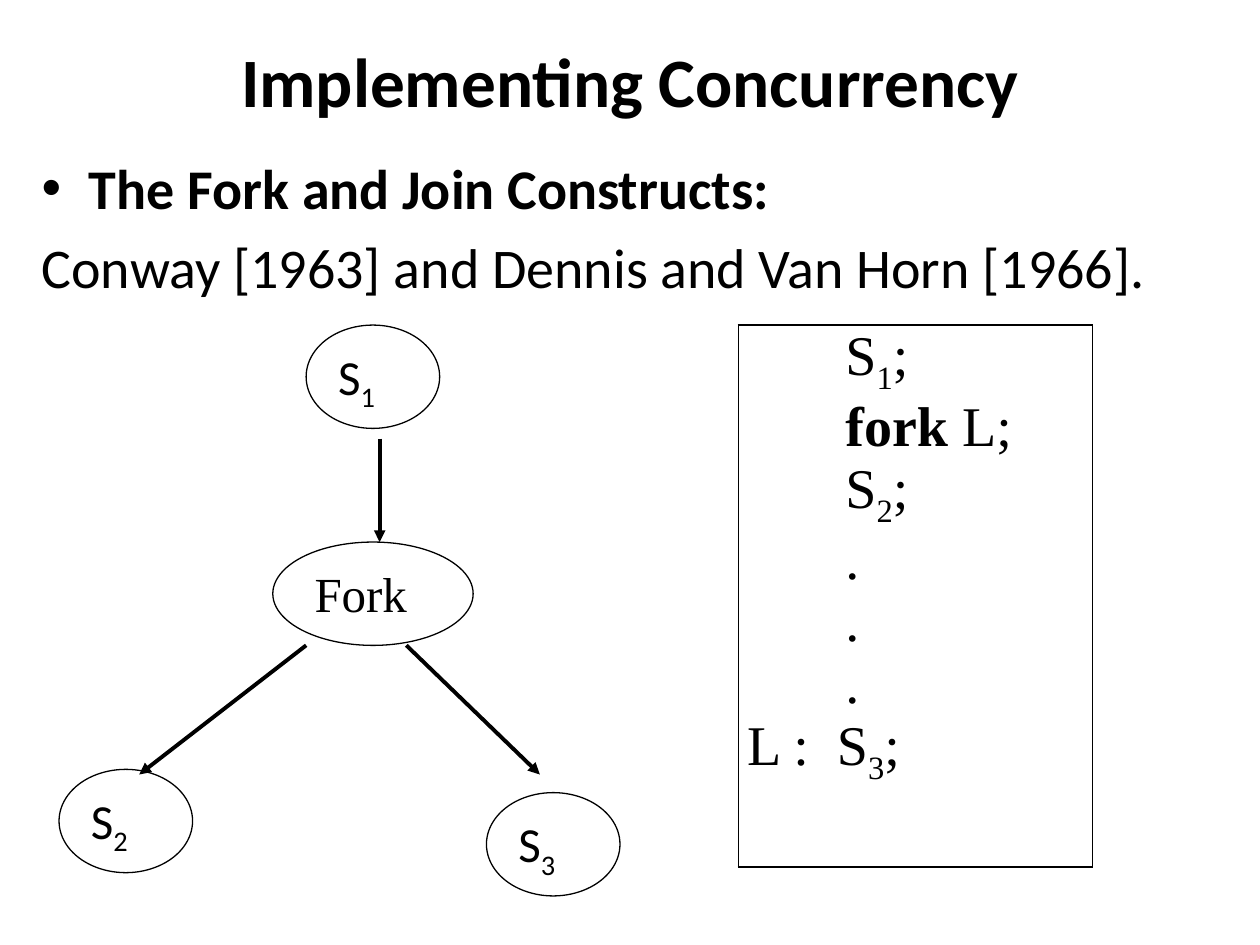
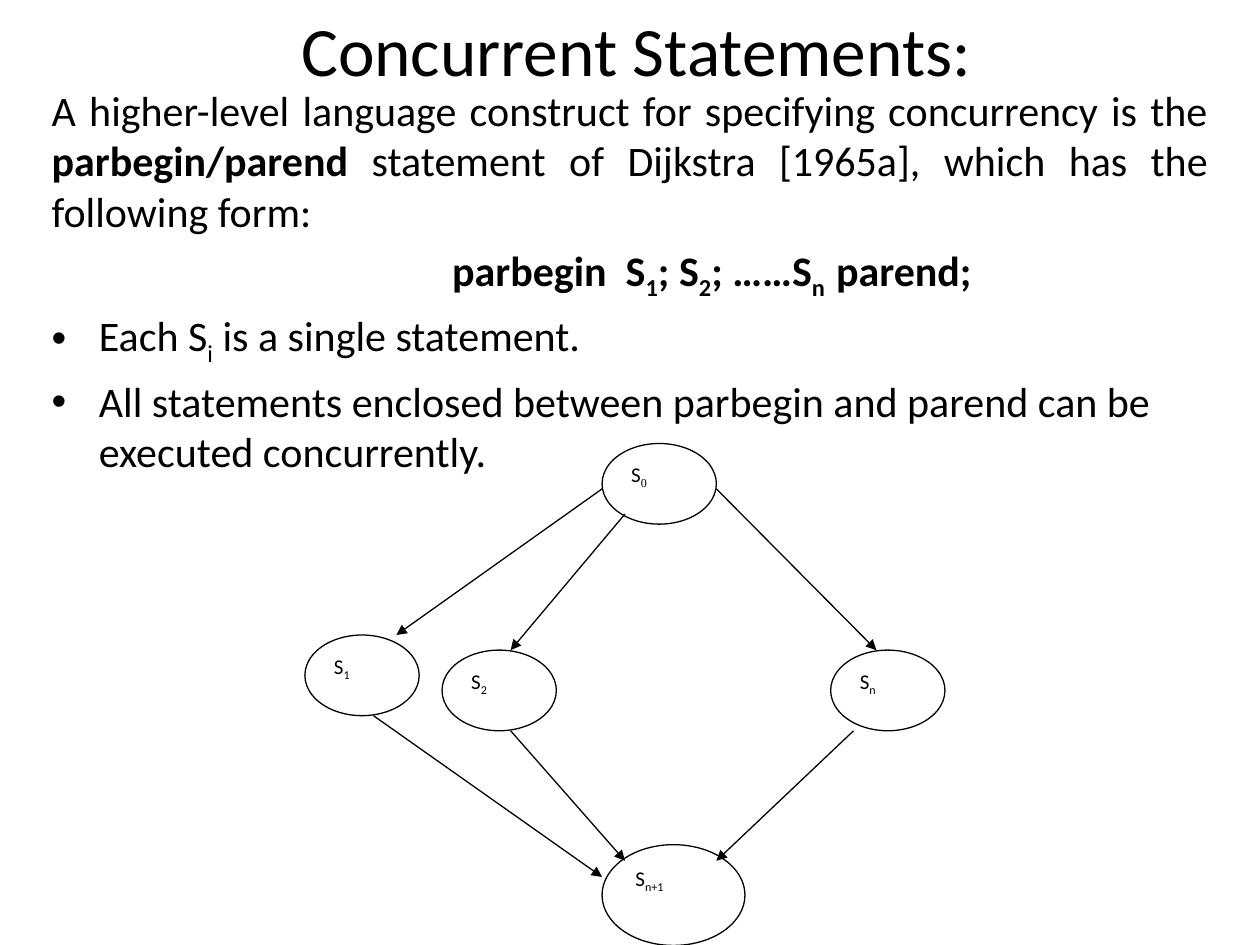
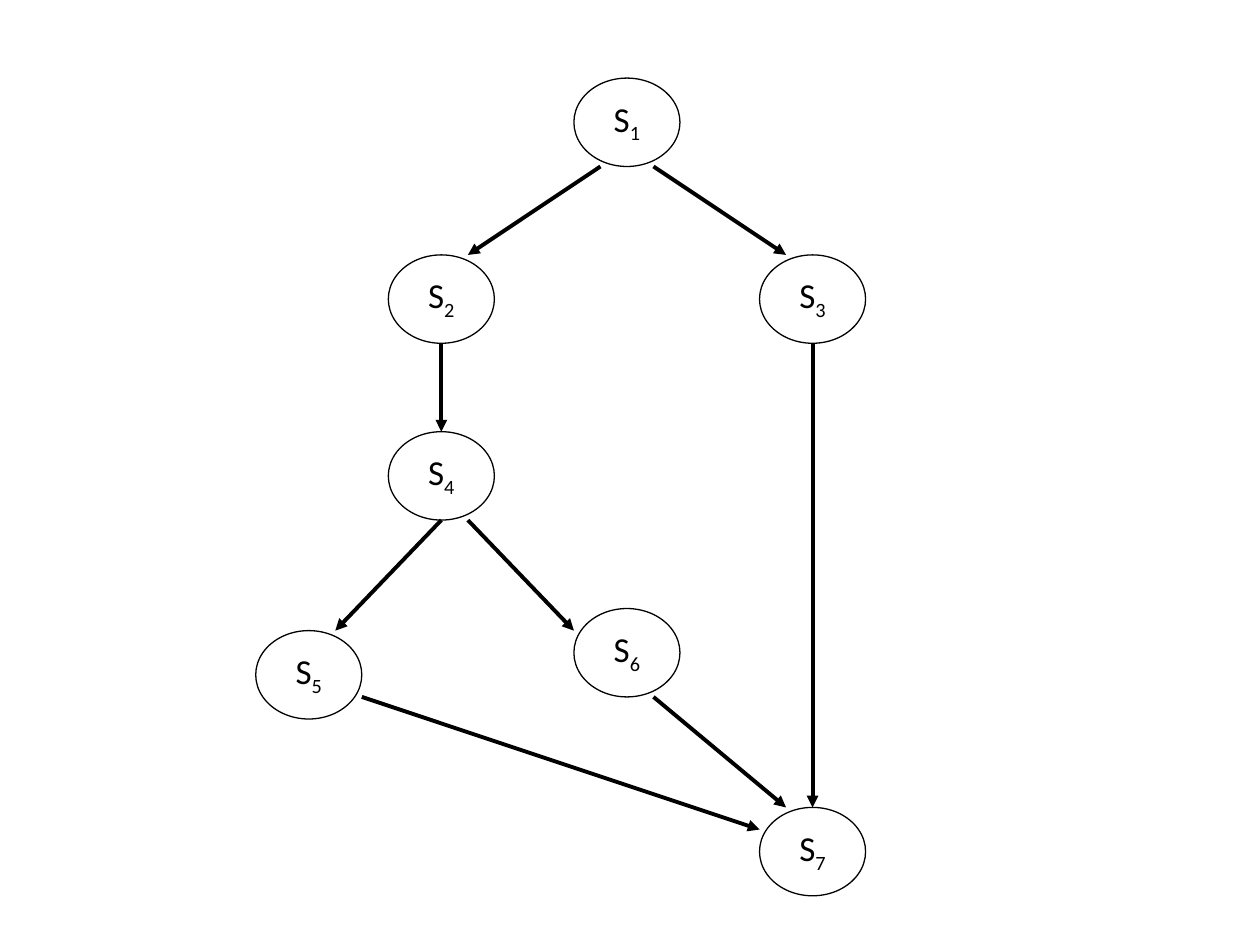
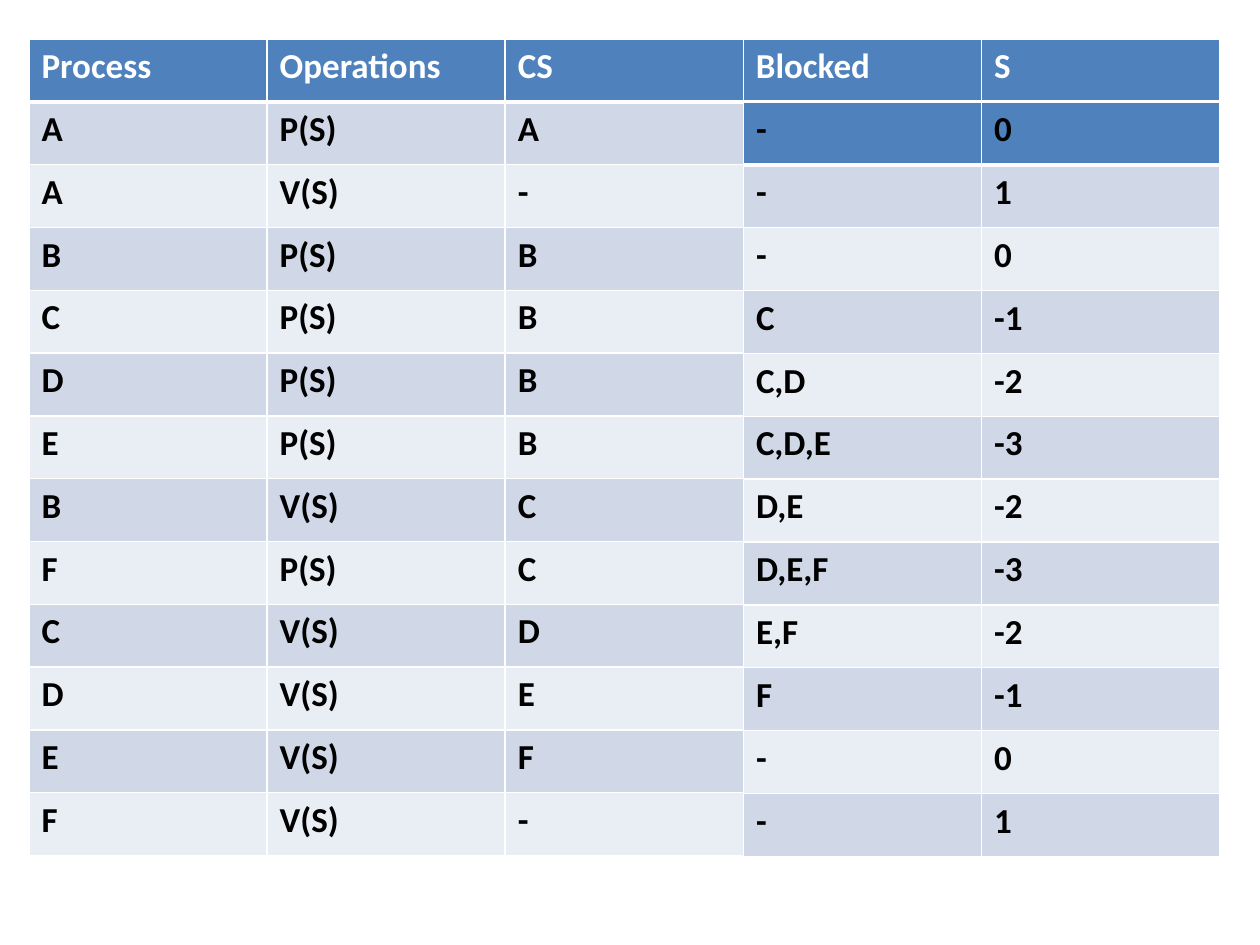
from dataclasses import dataclass
from typing import Optional

import pptx
import pptx.dml.color
import pptx.enum.shapes
import pptx.enum.text
import pptx.oxml.ns
import pptx.util
from lxml import etree

ALIGN = pptx.enum.text.PP_ALIGN
ANCHOR = pptx.enum.text.MSO_ANCHOR
qn = pptx.oxml.ns.qn


# ---- Theme ----
@dataclass(frozen=True)
class Theme:
    ink: str = "000000"
    paper: str = "FFFFFF"
    header: str = "4F81BD"
    bands: tuple = ("D0D8E8", "E9EDF4")
    font: str = "Calibri"
    serif: str = "Times New Roman"
    title: float = 39.6
    large: float = 32
    body: float = 24
    table: float = 20
    thin: float = 0.75
    rule: float = 1
    heavy: float = 2.25
    header_rule: float = 3


THEME = Theme()


# ---- Grids: the page has 100 columns and 75 rows, diagrams subdivide a part of it ----
@dataclass(frozen=True)
class Grid:
    left: float
    top: float
    width: float
    height: float
    columns: int
    rows: int

    def point(self, column: float, row: float) -> tuple:
        return (pptx.util.Inches((self.left + column * self.width / self.columns) / 10),
                pptx.util.Inches((self.top + row * self.height / self.rows) / 10))

    def box(self, column: float, row: float, across: float, down: float) -> tuple:
        left, top = self.point(column, row)
        right, bottom = self.point(column + across, row + down)
        return left, top, right - left, bottom - top


PAGE = Grid(0, 0, 100, 75, 100, 75)


@dataclass(frozen=True)
class Node:
    label: str
    column: float
    row: float
    across: float
    down: float
    align: Optional[ALIGN] = None
    font: str = THEME.font
    sub_font: Optional[str] = None


@dataclass(frozen=True)
class Arrow:
    start: tuple
    end: tuple


@dataclass(frozen=True)
class Paragraph:
    text: str
    bullet: bool = False
    align: Optional[ALIGN] = None
    indent: float = 0


# ---- Text: *bold* and ~subscript~ marks ----
def rgb(color: str) -> pptx.dml.color.RGBColor:
    return pptx.dml.color.RGBColor.from_string(color)


def write(paragraph, text: str, *, size: float, font: str = THEME.font,
          sub_font: Optional[str] = None, color: str = THEME.ink, bold: bool = False,
          align: Optional[ALIGN] = None, after: Optional[float] = None) -> None:
    if align is not None:
        paragraph.alignment = align
    if after is not None:
        paragraph.space_after = pptx.util.Pt(after)
    for i, stretch in enumerate(text.split("*")):
        for j, piece in enumerate(stretch.split("~")):
            if not piece:
                continue
            run = paragraph.add_run()
            run.text = piece
            run.font.size = pptx.util.Pt(size)
            run.font.name = sub_font if j % 2 and sub_font else font
            run.font.bold = bold or i % 2 == 1
            run.font.color.rgb = rgb(color)
            if j % 2:
                run.font._element.set("baseline", "-25000")


def set_indent(paragraph, inches: float) -> None:
    properties = paragraph._p.get_or_add_pPr()
    properties.set("marL", str(pptx.util.Inches(inches)))
    properties.set("indent", "0")


def next_paragraph(frame, index: int):
    return frame.paragraphs[0] if index == 0 else frame.add_paragraph()


# ---- Placeholders ----
def place(holder, box: tuple, anchor: ANCHOR):
    holder.left, holder.top, holder.width, holder.height = PAGE.box(*box)
    frame = holder.text_frame
    frame.word_wrap = True
    frame.auto_size = pptx.enum.text.MSO_AUTO_SIZE.NONE
    frame.vertical_anchor = anchor
    return frame


def add_title(slide, text: str, box: tuple, anchor: ANCHOR = ANCHOR.MIDDLE) -> None:
    frame = place(slide.shapes.title, box, anchor)
    frame.margin_top = frame.margin_bottom = 0
    write(frame.paragraphs[0], text, size=THEME.title, align=ALIGN.CENTER)


def add_body(slide, paragraphs: list, box: tuple, size: float) -> None:
    frame = place(slide.placeholders[1], box, ANCHOR.TOP)
    for index, item in enumerate(paragraphs):
        paragraph = next_paragraph(frame, index)
        write(paragraph, item.text, size=size, align=item.align)
        if not item.bullet:
            set_indent(paragraph, item.indent)
            etree.SubElement(paragraph._p.get_or_add_pPr(), qn("a:buNone"))


# ---- Diagrams ----
def add_node(slide, grid: Grid, node: Node, size: float) -> None:
    ellipse = slide.shapes.add_shape(pptx.enum.shapes.MSO_SHAPE.OVAL,
                                     *grid.box(node.column, node.row, node.across, node.down))
    ellipse.shadow.inherit = False
    ellipse.fill.solid()
    ellipse.fill.fore_color.rgb = rgb(THEME.paper)
    ellipse.line.color.rgb = rgb(THEME.ink)
    ellipse.line.width = pptx.util.Pt(THEME.thin)
    frame = ellipse.text_frame
    frame.word_wrap = True
    frame.vertical_anchor = ANCHOR.TOP
    write(frame.paragraphs[0], node.label, size=size, font=node.font,
          sub_font=node.sub_font, align=node.align or ALIGN.LEFT, after=10)


def add_arrow(slide, grid: Grid, arrow: Arrow, weight: float) -> None:
    link = slide.shapes.add_connector(pptx.enum.shapes.MSO_CONNECTOR.STRAIGHT,
                                      *grid.point(*arrow.start), *grid.point(*arrow.end))
    link.line.color.rgb = rgb(THEME.ink)
    link.line.width = pptx.util.Pt(weight)
    etree.SubElement(link.line._get_or_add_ln(), qn("a:tailEnd"), type="triangle")
    etree.SubElement(link._element.spPr, qn("a:effectLst"))


def add_diagram(slide, grid: Grid, nodes: list, arrows: list, size: float, weight: float) -> None:
    for node in nodes:
        add_node(slide, grid, node, size)
    for arrow in arrows:
        add_arrow(slide, grid, arrow, weight)


# ---- Tables ----
def set_borders(cell, color: str, top: float = THEME.rule, bottom: float = THEME.rule) -> None:
    properties = cell._tc.get_or_add_tcPr()
    widths = {"a:lnL": THEME.rule, "a:lnR": THEME.rule, "a:lnT": top, "a:lnB": bottom}
    for side, width in widths.items():
        line = etree.SubElement(properties, qn(side), w=str(pptx.util.Pt(width)))
        fill = etree.SubElement(line, qn("a:solidFill"))
        etree.SubElement(fill, qn("a:srgbClr"), val=color)


def new_table(slide, rows: int, columns: int, box: tuple):
    table = slide.shapes.add_table(rows, columns, *PAGE.box(*box)).table
    table.first_row = table.horz_banding = False
    return table


def add_banded_table(slide, rows: list, box: tuple, header_ink: str) -> None:
    table = new_table(slide, len(rows), len(rows[0]), box)
    for r, values in enumerate(rows):
        for c, value in enumerate(values):
            cell = table.cell(r, c)
            set_borders(cell, THEME.paper,
                        top=THEME.header_rule if r == 1 else THEME.rule,
                        bottom=THEME.header_rule if r == 0 else THEME.rule)
            cell.fill.solid()
            cell.fill.fore_color.rgb = rgb(THEME.bands[(r - 1) % 2] if r else THEME.header)
            write(cell.text_frame.paragraphs[0], value, size=THEME.table, bold=True,
                  color=THEME.ink if r else header_ink)


def add_code_box(slide, lines: list, box: tuple) -> None:
    cell = new_table(slide, 1, 1, box).cell(0, 0)
    set_borders(cell, THEME.ink)
    cell.fill.background()
    cell.margin_left = cell.margin_right = pptx.util.Inches(0.07)
    cell.margin_top = cell.margin_bottom = 0
    for index, line in enumerate(lines):
        paragraph = next_paragraph(cell.text_frame, index)
        write(paragraph, line.text, size=THEME.large, font=THEME.serif)
        set_indent(paragraph, line.indent)


# ---- Slides ----
def fork_and_join(slide) -> None:
    add_title(slide, "*Implementing Concurrency*", (5, 3, 90, 12.5), ANCHOR.TOP)
    add_body(slide, [Paragraph("*The Fork and Join Constructs:*", bullet=True),
                     Paragraph("Conway [1963] and Dennis and Van Horn [1966].")],
             (2.3, 11.7, 95.3, 11.7), THEME.large)
    nodes = [Node("S~1~", 8, 0, 4, 4),
             Node("Fork", 7, 8.4, 6, 4, align=ALIGN.JUSTIFY, font=THEME.serif),
             Node("S~3~", 13.4, 18.1, 4, 4),
             Node("S~2~", 0.6, 17.2, 4, 4)]
    arrows = [Arrow((10.2, 4.4), (10.2, 8.4)),
              Arrow((8, 12.4), (3, 17.4)),
              Arrow((11, 12.4), (15, 17.4))]
    add_diagram(slide, Grid(3.1, 25.8, 53, 45.1, 20, 22), nodes, arrows, 28, THEME.heavy)
    statements = ["S~1~;", "*fork* L;", "S~2~;", ".", ".", "."]
    add_code_box(slide, [Paragraph(text, indent=0.78) for text in statements]
                 + [Paragraph("L :  S~3~;")], (58.6, 25.8, 28.1, 43))


def concurrent_statements(slide) -> None:
    add_title(slide, "Concurrent Statements:", (5.5, 0, 90, 7.8))
    add_body(slide, [
        Paragraph("A higher-level language construct for specifying concurrency is the "
                  "*parbegin/parend* statement of Dijkstra [1965a], which has the "
                  "following form:", align=ALIGN.JUSTIFY),
        Paragraph("*parbegin  S~1~; S~2~; ……S~n  ~parend;*", align=ALIGN.CENTER, indent=1.3),
        Paragraph("Each S~i~ is a single statement.", bullet=True),
        Paragraph("All statements enclosed between parbegin and parend can be "
                  "executed concurrently.", bullet=True),
    ], (3.1, 6.2, 93.8, 28.9), THEME.body)
    nodes = [Node("S~n+1~", 13, 19.9, 6.25, 5),
             Node("S~2~", 6, 10.25, 5, 4),
             Node("S~0~", 13, 0, 5, 4, sub_font=THEME.serif),
             Node("S~1~", 0, 9.5, 5, 4),
             Node("S~n~", 23, 10.25, 5, 4)]
    arrows = [Arrow((14, 3.5), (9, 10.25)),
              Arrow((18, 2.25), (25, 10.25)),
              Arrow((3, 13.5), (13, 21.5)),
              Arrow((9, 14.25), (14, 20.7)),
              Arrow((24, 14.25), (18, 20.7)),
              Arrow((13, 2.25), (4, 9.5))]
    add_diagram(slide, Grid(24.2, 35.2, 50.8, 40, 28, 25), nodes, arrows, 12, THEME.thin)


def precedence_graph(slide) -> None:
    corners = {1: (12, 0), 2: (5, 8), 3: (19, 8), 4: (5, 16),
               6: (12, 24), 7: (19, 33), 5: (0, 25)}
    nodes = [Node(f"S~{number}~", *corner, 4, 4, align=ALIGN.CENTER)
             for number, corner in corners.items()]
    arrows = [Arrow((13, 4), (8, 8)),
              Arrow((15, 4), (20, 8)),
              Arrow((7, 12), (7, 16)),
              Arrow((7, 20), (3, 25)),
              Arrow((8, 20), (12, 25)),
              Arrow((21, 12), (21, 33)),
              Arrow((15, 28), (20, 33)),
              Arrow((4, 28), (19, 34))]
    add_diagram(slide, Grid(20.3, 6.2, 48.4, 64.9, 23, 37), nodes, arrows, 20, THEME.heavy)


def semaphore_trace(slide) -> None:
    operations = [("A", "P(S)", "A"), ("A", "V(S)", "-"), ("B", "P(S)", "B"),
                  ("C", "P(S)", "B"), ("D", "P(S)", "B"), ("E", "P(S)", "B"),
                  ("B", "V(S)", "C"), ("F", "P(S)", "C"), ("C", "V(S)", "D"),
                  ("D", "V(S)", "E"), ("E", "V(S)", "F"), ("F", "V(S)", "-")]
    queue = [("-", "0"), ("-", "1"), ("-", "0"), ("C", "-1"), ("C,D", "-2"),
             ("C,D,E", "-3"), ("D,E", "-2"), ("D,E,F", "-3"), ("E,F", "-2"),
             ("F", "-1"), ("-", "0"), ("-", "1")]
    header = ("Process", "Operations", "CS", "Blocked", "S")
    add_banded_table(slide, [header] + [row + ("", "") for row in operations],
                     (2.3, 3.1, 94.5, 64.8), THEME.paper)
    add_banded_table(slide, queue, (59, 8.1, 37.8, 59.9), THEME.ink)


def main() -> None:
    deck = pptx.Presentation()
    deck.slide_width, deck.slide_height = PAGE.point(PAGE.columns, PAGE.rows)
    content, blank = deck.slide_layouts[1], deck.slide_layouts[6]
    for layout, build in ((content, fork_and_join), (content, concurrent_statements),
                          (blank, precedence_graph), (blank, semaphore_trace)):
        build(deck.slides.add_slide(layout))
    deck.save("out.pptx")


main()
